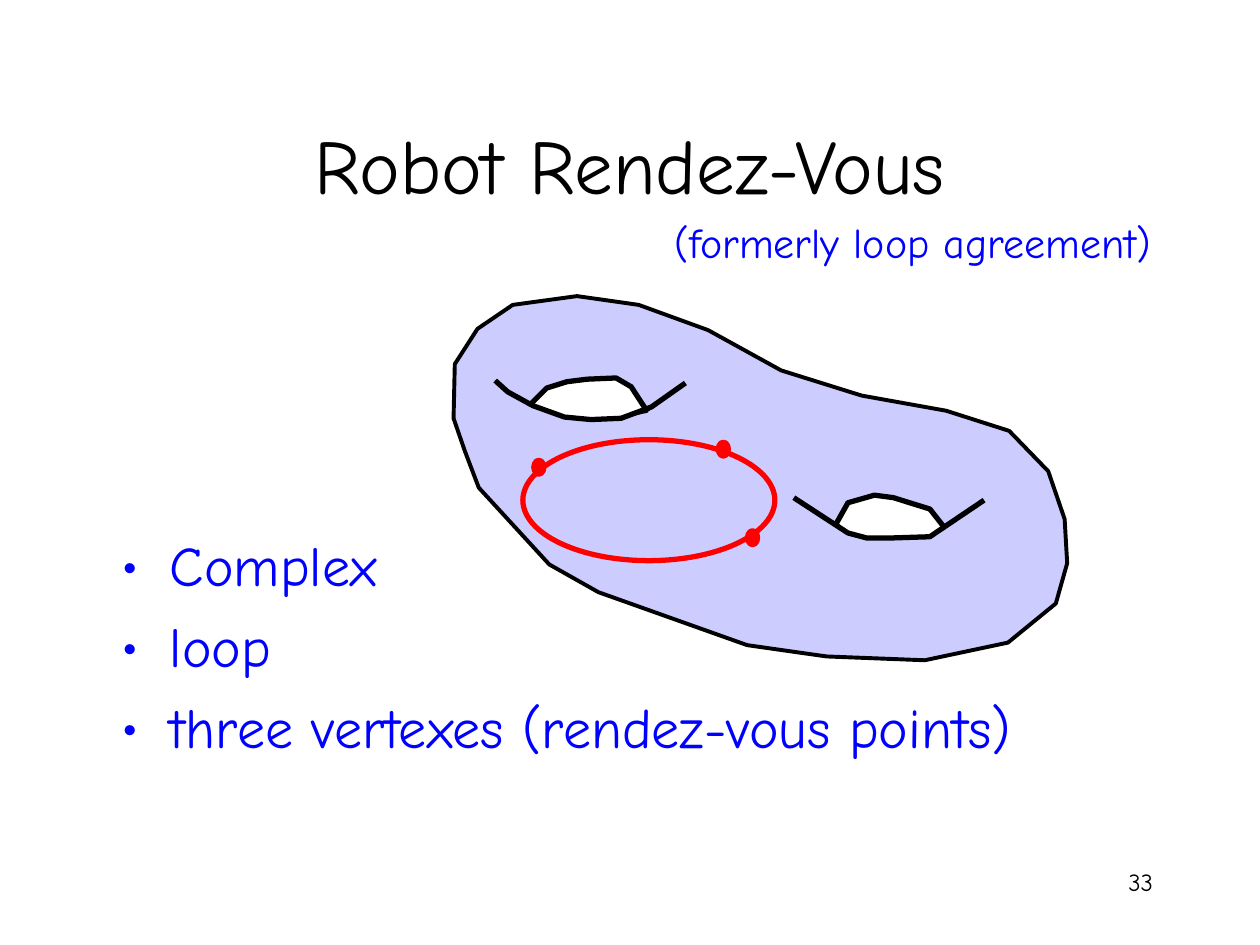
from dataclasses import dataclass
from math import cos, radians, sin

from lxml import etree
from pptx import Presentation
from pptx.dml.color import RGBColor
from pptx.enum.shapes import MSO_SHAPE
from pptx.enum.text import MSO_ANCHOR, PP_ALIGN
from pptx.oxml.ns import qn
from pptx.util import Inches, Pt


@dataclass(frozen=True)
class Theme:
    font: str = "Comic Neue"
    black: RGBColor = RGBColor(0, 0, 0)
    white: RGBColor = RGBColor(255, 255, 255)
    blue: RGBColor = RGBColor(0, 0, 255)
    red: RGBColor = RGBColor(255, 0, 0)
    lilac: RGBColor = RGBColor(0xCC, 0xCC, 0xFF)
    title: int = 44
    body: int = 32
    note: int = 24
    number: int = 14
    hairline: float = 0.75
    edge: float = 2.25
    stroke: float = 3


theme = Theme()
prs = Presentation()
prs.slide_width, prs.slide_height = Inches(10), Inches(7.5)
s = prs.slides.add_slide(prs.slide_layouts[6])


def add_text(box, lines, size, color, align, anchor=MSO_ANCHOR.TOP, wrap=True):
    tf = s.shapes.add_textbox(*map(Inches, box)).text_frame
    tf.word_wrap, tf.vertical_anchor = wrap, anchor
    for i, line in enumerate(lines):
        p = tf.add_paragraph() if i else tf.paragraphs[0]
        p.alignment = align
        r = p.add_run()
        r.text = line
        r.font.name, r.font.size, r.font.color.rgb = theme.font, Pt(size), color
    return tf


def paint(sp, fill, line, width):
    sp.shadow.inherit = False
    if fill is None:
        sp.fill.background()
    else:
        sp.fill.solid()
        sp.fill.fore_color.rgb = fill
    sp.line.color.rgb, sp.line.width = line, Pt(width)


# Title
add_text((0.75, 0.67, 8.5, 1.25), ["Robot Rendez-Vous"], theme.title, theme.black,
         PP_ALIGN.CENTER, MSO_ANCHOR.MIDDLE)

# Bullets with a hanging indent
bullets = add_text((0.87, 4.16, 8.5, 1.9), ["Complex", "loop", "three vertexes (rendez-vous points)"],
                   theme.body, theme.blue, PP_ALIGN.LEFT)
hang = Inches(0.38)
for p in bullets.paragraphs:
    p.space_before = Pt(8)
    pPr = p._p.get_or_add_pPr()
    pPr.set("marL", str(hang))
    pPr.set("indent", str(-hang))
    etree.SubElement(pPr, qn("a:buFont"), typeface=theme.font)
    etree.SubElement(pPr, qn("a:buChar"), char="•")

# Remark under the title
add_text((5.25, 1.67, 3.99, 0.5), ["(formerly loop agreement)"], theme.note, theme.blue,
         PP_ALIGN.CENTER, MSO_ANCHOR.MIDDLE, wrap=False)

# Surface: its four sides, walked counterclockwise from the upper left
left_end = [(3.79, 2.61), (3.61, 2.89), (3.6, 3.32), (3.69, 3.58), (3.8, 3.87)]
bottom_edge = [(4.36, 4.48), (4.75, 4.7), (5.93, 5.12), (6.56, 5.21), (7.34, 5.24)]
right_end = [(8, 5.1), (8.38, 4.79), (8.47, 4.47), (8.45, 4.12), (8.32, 3.74), (8.01, 3.42)]
top_edge = [(7.51, 3.26), (6.84, 3.14), (6.2, 2.94), (5.62, 2.62), (5.07, 2.42), (4.58, 2.35), (4.07, 2.42)]
surface = left_end + bottom_edge + right_end + top_edge

# Holes: a lip that sags below and an arch above it, measured from the lip's left tip
holes = [
    dict(tip=(3.93, 3.02),
         lip=[(0, 0), (0.1, 0.09), (0.3, 0.2), (0.55, 0.29), (0.76, 0.31), (1, 0.3), (1.24, 0.21), (1.51, 0.02)],
         arch=[(0.28, 0.19), (0.41, 0.06), (0.57, 0.01), (0.73, -0.01), (0.96, -0.02), (1.08, 0.05), (1.21, 0.25)]),
    dict(tip=(6.3, 3.95),
         lip=[(0, 0), (0.43, 0.28), (0.58, 0.32), (0.76, 0.32), (1.08, 0.31), (1.51, 0.02)],
         arch=[(0.34, 0.2), (0.43, 0.04), (0.64, -0.02), (0.79, 0), (0.95, 0.05), (1.08, 0.09), (1.19, 0.23)]),
]

# Each outline: points, closed, fill, line width
outlines = [(surface, True, theme.lilac, theme.edge)]
for hole in holes:
    left, top = hole["tip"]
    lip, arch = ([(left + x, top + y) for x, y in hole[part]] for part in ("lip", "arch"))
    floor = [point for point in lip if arch[0][0] < point[0] < arch[-1][0]]
    outlines += [(arch + floor[::-1], True, theme.white, theme.hairline),
                 (lip, False, None, theme.stroke),
                 (arch, False, None, theme.stroke)]

for points, closed, fill, width in outlines:
    start, *rest = [(Inches(x), Inches(y)) for x, y in points]
    outline = s.shapes.build_freeform(*start)
    outline.add_line_segments(rest, close=closed)
    paint(outline.convert_to_shape(), fill, theme.black, width)

# Loop, and the rendez-vous points set just outside it by angle (clockwise from the right)
cx, cy, rx, ry = 5.15, 3.97, 1, 0.48
dot_w, dot_h, reach = 0.08, 0.11, 1.03
ovals = [(cx, cy, 2 * rx, 2 * ry, None)]
for angle in (305, 37, 212):
    a = radians(angle)
    ovals.append((cx + reach * rx * cos(a), cy + reach * ry * sin(a), dot_w, dot_h, theme.red))
for x, y, w, h, fill in ovals:
    sp = s.shapes.add_shape(MSO_SHAPE.OVAL, Inches(x - w / 2), Inches(y - h / 2), Inches(w), Inches(h))
    paint(sp, fill, theme.red, theme.stroke)

# Slide number
add_text((7.17, 6.83, 2.08, 0.5), ["33"], theme.number, theme.black, PP_ALIGN.RIGHT)

prs.save("out.pptx")
